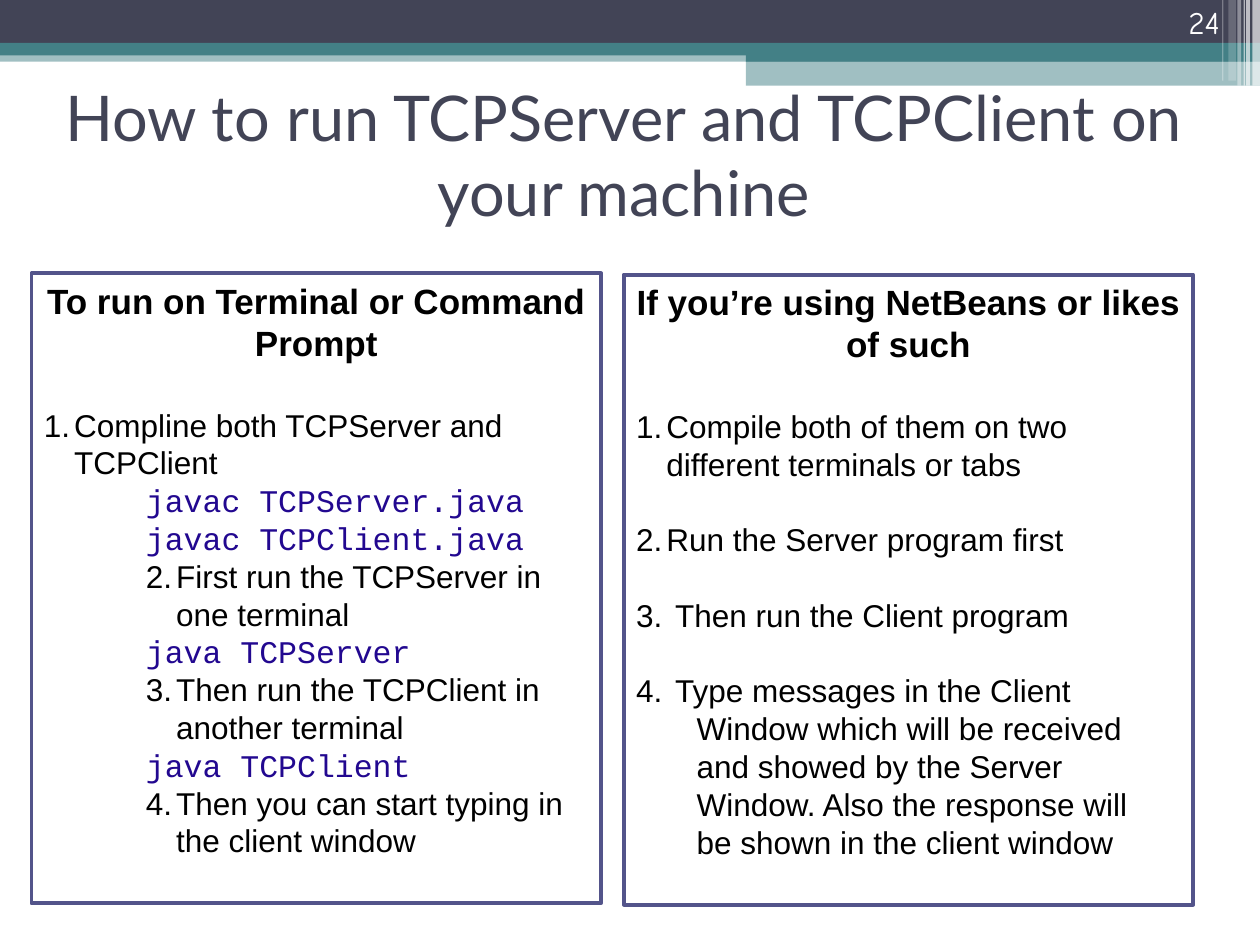
"""Build the slide on running a TCP server and client."""
from dataclasses import dataclass
from typing import Any

import pptx
import pptx.dml.color
import pptx.enum.shapes
import pptx.enum.text
import pptx.oxml
import pptx.oxml.ns
import pptx.util

RGBColor = pptx.dml.color.RGBColor
Align = pptx.enum.text.PP_ALIGN
Anchor = pptx.enum.text.MSO_ANCHOR

WIDTH = pptx.util.Inches(10)
HEIGHT = pptx.util.Inches(7.5)
COLUMNS, ROWS = 1000, 750

WHITE = RGBColor(0xFF, 0xFF, 0xFF)
BLACK = RGBColor(0x00, 0x00, 0x00)
SLATE = RGBColor(0x42, 0x44, 0x56)
TEAL = RGBColor(0x43, 0x80, 0x86)
VIOLET = RGBColor(0x53, 0x54, 0x8A)
CODE_BLUE = RGBColor(0x22, 0x08, 0x90)

LEADING = 1.2
NUMBER_HANG = 24
STEP_INDENT = 81


@dataclass(frozen=True)
class Area:
    """A rectangle in grid columns and rows."""

    column: int
    row: int
    columns: int
    rows: int


@dataclass(frozen=True)
class Bar:
    """A filled band of the page header."""

    area: Area
    color: RGBColor
    opacity: int = 100


@dataclass(frozen=True)
class Line:
    """A paragraph with its indent and hang in columns."""

    text: str
    size: int = 18
    font: str = "Arial"
    color: RGBColor = BLACK
    bold: bool = False
    align: Any = Align.LEFT
    number: int = 0
    indent: int = 0
    hang: int = NUMBER_HANG
    blank_after: bool = False
    leading: bool = True


@dataclass(frozen=True)
class Panel:
    """A framed box of instructions."""

    area: Area
    lines: tuple[Line, ...]


def heading(text: str) -> Line:
    """Describe a panel heading."""
    return Line(text, size=20, bold=True, align=Align.CENTER, blank_after=True)


def command(text: str) -> Line:
    """Describe a command to type."""
    return Line(text, font="Courier New", color=CODE_BLUE, indent=STEP_INDENT)


BARS = (
    Bar(Area(0, 40, 1000, 9), TEAL, 50),
    Bar(Area(0, 0, 1000, 34), SLATE),
    Bar(Area(0, 34, 1000, 10), TEAL),
    Bar(Area(592, 39, 408, 10), TEAL),
    Bar(Area(592, 48, 408, 20), TEAL, 50),
    Bar(Area(994, 0, 6, 68), WHITE, 65),
    Bar(Area(989, 0, 3, 68), WHITE, 65),
    Bar(Area(987, 0, 1, 68), WHITE, 60),
    Bar(Area(982, 0, 3, 68), WHITE, 40),
    Bar(Area(975, 0, 6, 64), WHITE, 20),
    Bar(Area(970, 0, 1, 64), WHITE, 30),
)

CLIENT_WINDOW = (
    "Window which will be received",
    "and showed by the Server",
    "Window. Also the response will",
    "be shown in the client window",
)

PANELS = (
    Panel(Area(25, 217, 452, 500), (
        heading("To run on Terminal or Command Prompt"),
        Line("Compline both TCPServer and TCPClient", number=1),
        command("javac TCPServer.java"),
        command("javac TCPClient.java"),
        Line("First run the TCPServer in one terminal", number=2, indent=STEP_INDENT),
        command("java TCPServer"),
        Line("Then run the TCPClient in another terminal", number=3, indent=STEP_INDENT),
        command("java TCPClient"),
        Line("Then you can start typing in the client window", number=4, indent=STEP_INDENT),
    )),
    Panel(Area(495, 218, 452, 500), (
        heading("If you’re using NetBeans or likes of such"),
        Line("Compile both of them on two different terminals or tabs", number=1, blank_after=True),
        Line("Run the Server program first", number=2, blank_after=True),
        Line("Then run the Client program", number=3, hang=31, blank_after=True),
        Line("Type messages in the Client", number=4, hang=31),
        *(Line(text, indent=48) for text in CLIENT_WINDOW),
    )),
)

TITLE = Line("How to run TCPServer and TCPClient on your machine", size=36,
             font="Lato", color=SLATE, align=Align.CENTER, leading=False)
PAGE_NUMBER = Line("24", font="Comic Neue", color=WHITE, align=Align.RIGHT, leading=False)


def across(columns: int) -> int:
    """Convert grid columns to a length."""
    return WIDTH * columns // COLUMNS


def down(rows: int) -> int:
    """Convert grid rows to a length."""
    return HEIGHT * rows // ROWS


def place(area: Area) -> tuple[int, int, int, int]:
    """Convert an area to left, top, width and height."""
    return across(area.column), down(area.row), across(area.columns), down(area.rows)


def assign(target: Any, values: dict[str, Any]) -> None:
    """Set each named attribute of the target."""
    for name, value in values.items():
        setattr(target, name, value)


def add_rectangle(page: Any, area: Area, color: RGBColor) -> Any:
    """Draw a flat filled rectangle."""
    box = page.shapes.add_shape(pptx.enum.shapes.MSO_SHAPE.RECTANGLE, *place(area))
    box.shadow.inherit = False
    box.fill.solid()
    box.fill.fore_color.rgb = color
    box.line.fill.background()
    return box


def add_bar(page: Any, bar: Bar) -> None:
    """Draw a header band with its opacity."""
    box = add_rectangle(page, bar.area, bar.color)
    if bar.opacity < 100:
        color = box.fill._xPr.find(".//" + pptx.oxml.ns.qn("a:srgbClr"))
        alpha = pptx.oxml.parse_xml(f'<a:alpha {pptx.oxml.ns.nsdecls("a")} val="{bar.opacity * 1000}"/>')
        color.append(alpha)


def write_line(para: Any, line: Line) -> None:
    """Fill and format one paragraph."""
    properties = para._p.get_or_add_pPr()
    hang = line.hang if line.number else 0
    properties.set("marL", str(across(line.indent + hang)))
    properties.set("indent", str(-across(hang)))
    if line.number:
        properties.append(pptx.oxml.parse_xml(
            f'<a:buAutoNum {pptx.oxml.ns.nsdecls("a")} type="arabicPeriod" startAt="{line.number}"/>'))
    pitch = pptx.util.Pt(line.size * LEADING)
    assign(para, {"alignment": line.align,
                  "line_spacing": pitch if line.leading else None,
                  "space_after": pitch if line.blank_after else None})
    span = para.add_run()
    span.text = line.text
    assign(span.font, {"name": line.font, "size": pptx.util.Pt(line.size), "bold": line.bold})
    span.font.color.rgb = line.color


def write_lines(box: Any, lines: tuple[Line, ...], anchor: Any) -> None:
    """Fill a box with paragraphs."""
    frame = box.text_frame
    assign(frame, {"word_wrap": True, "vertical_anchor": anchor})
    for index, line in enumerate(lines):
        write_line(frame.add_paragraph() if index else frame.paragraphs[0], line)


def add_panel(page: Any, panel: Panel) -> None:
    """Draw a framed panel with its text."""
    box = add_rectangle(page, panel.area, WHITE)
    box.line.color.rgb = VIOLET
    box.line.width = pptx.util.Pt(2.25)
    write_lines(box, panel.lines, Anchor.TOP)


def main() -> None:
    """Build and save the deck."""
    deck = pptx.Presentation()
    assign(deck, {"slide_width": WIDTH, "slide_height": HEIGHT})
    page = deck.slides.add_slide(deck.slide_layouts[6])
    for bar in BARS:
        add_bar(page, bar)
    for panel in PANELS:
        add_panel(page, panel)
    write_lines(page.shapes.add_textbox(*place(Area(1, 75, 988, 94))), (TITLE,), Anchor.MIDDLE)
    write_lines(page.shapes.add_textbox(*place(Area(895, -3, 83, 40))), (PAGE_NUMBER,), Anchor.BOTTOM)
    deck.save("out.pptx")


if __name__ == "__main__":
    main()
